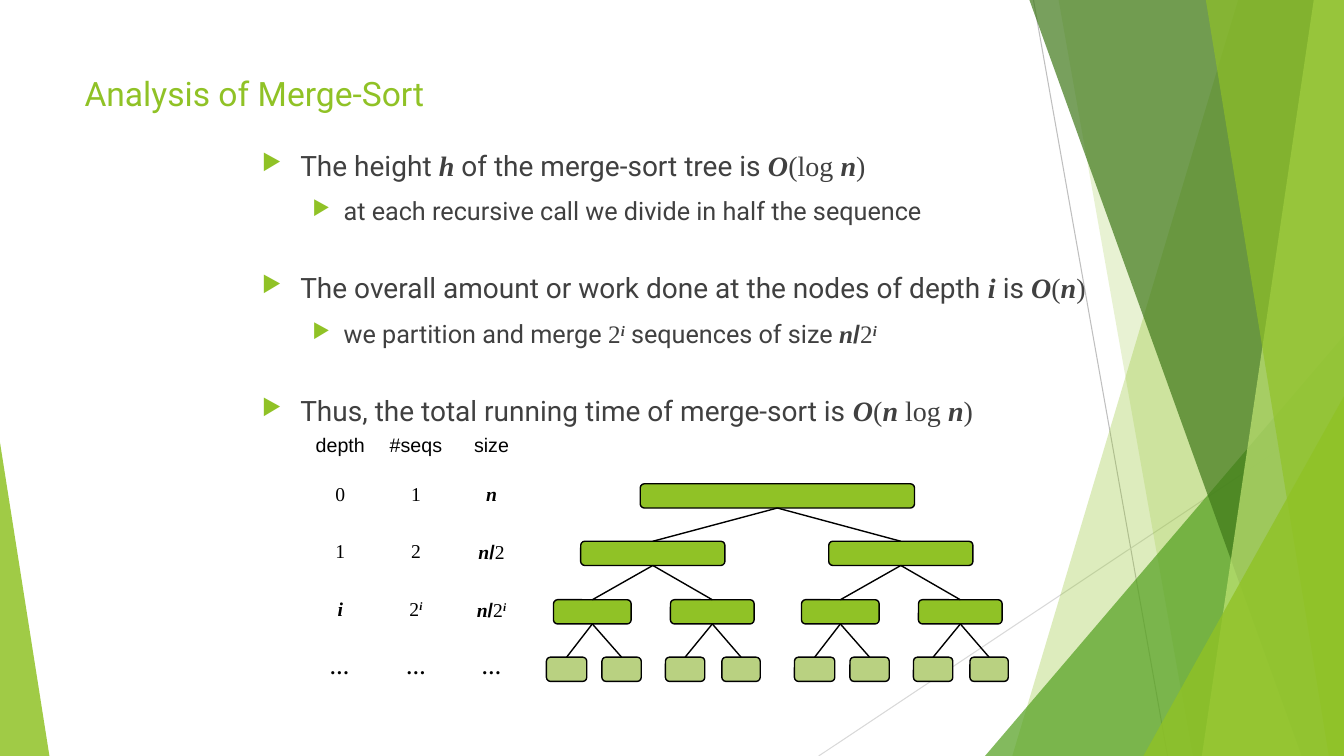
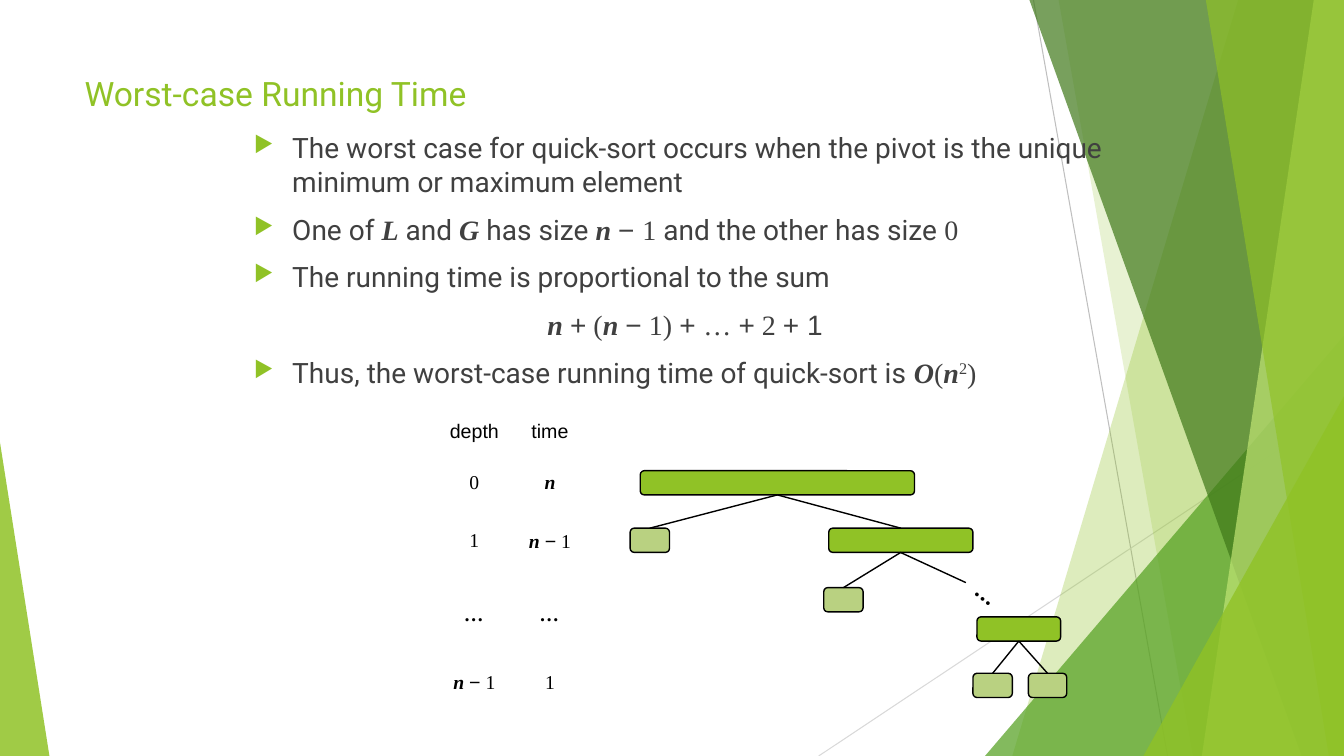
import dataclasses

import lxml.etree
import pptx
import pptx.dml.color
import pptx.enum.shapes
import pptx.enum.text
import pptx.oxml.ns
import pptx.util

PX = 9144  # EMU in one px, 100 px to the inch
WIDE, HIGH = 1333, 750
qn = pptx.oxml.ns.qn
RGB = pptx.dml.color.RGBColor.from_string
SHAPE = pptx.enum.shapes.MSO_SHAPE
STRAIGHT = pptx.enum.shapes.MSO_CONNECTOR.STRAIGHT
ALIGN = pptx.enum.text.PP_ALIGN
ANCHOR = pptx.enum.text.MSO_ANCHOR
PLAIN_GRID = "{2D5ABB26-0587-4C30-8999-92F81FD0307C}"


@dataclasses.dataclass(frozen=True)
class Theme:
    lime: str = "90C226"
    leaf: str = "B9D181"
    grass: str = "54A021"
    moss: str = "3F7819"
    pale: str = "C0E474"
    ink: str = "000000"
    text: str = "404040"
    rule: str = "BFBFBF"
    faint: str = "D9D9D9"
    head: int = 24
    main: int = 20
    sub: int = 18
    cell: int = 14
    thin: float = 0.75
    edge: int = 1


theme = Theme()

# Run styles: s sans, a Arial, b bold Arial, m maths, k bold maths,
# v variable, e raised variable, p raised maths
TIMES = "Times New Roman"
STYLES = {
    "s": {"name": "Roboto", "bold": False, "italic": False},
    "a": {"name": "Arial", "bold": False, "italic": False},
    "b": {"name": "Arial", "bold": True, "italic": False},
    "m": {"name": TIMES, "bold": False, "italic": False},
    "k": {"name": TIMES, "bold": True, "italic": False},
    "v": {"name": TIMES, "bold": True, "italic": True},
    "e": {"name": TIMES, "bold": True, "italic": True},
    "p": {"name": TIMES, "bold": False, "italic": False},
}

# Paragraph kinds: level, margin, indent, size, bullet, alignment
KINDS = {
    "main": (0, 38, -38, theme.main, True, ALIGN.LEFT),
    "sub": (1, 81, -31, theme.sub, True, ALIGN.LEFT),
    "sum": (0, 38, -38, theme.main, False, ALIGN.CENTER),
}

# Backdrop: bands are (top x, foot x), wedges are (left, top, width, height, apex)
RULES = [
    (1025, 0, 1158, 750, theme.rule),
    (1333, 403, 812, 750, theme.faint),
]
PANES = [
    ((1228, 1004), theme.lime, 30),
    ((1050, 1183), theme.lime, 20),
    ((977, 333, 356, 417, 1), theme.grass, 72),
    ((1021, 1291), theme.moss, 70),
    ((1303, 1192), theme.pale, 70),
    ((1196, 1318), theme.lime, 65),
    ((1134, 393, 199, 357, 1), theme.lime, 80),
    ((0, 439, 49, 311, 0), theme.lime, 85),
]

# Merge tree: the right half repeats the left, shifted
ROWS = [480, 537, 595, 652]
HALF = [  # left, row, width, parent within the half
    (576, 1, 143, None), (549, 2, 77, 0), (665, 2, 83, 0),
    (542, 3, 40, 1), (597, 3, 39, 1), (660, 3, 39, 2), (716, 3, 38, 2),
]
merge = [(635, ROWS[0], 272, None)]
for shift in (0, 246):
    base = len(merge)
    merge += [(left + shift, ROWS[row], width, 0 if up is None else base + up)
              for left, row, width, up in HALF]

# Quick tree: left, top, width, parent
quick = [
    (635, 467, 272, None), (625, 524, 39, 0), (822, 524, 143, 0),
    (817, 583, 39, 2), (969, 612, 83, None), (965, 668, 39, 4), (1020, 668, 38, 4),
]

PAGES = [
    {
        "title": "s:Analysis of Merge-Sort",
        "body": (250, 142, 867, 275),
        "lines": [  # kind, space before, runs
            ("main", 0, "s:The height |v:h|s: of the merge-sort tree is |v:O|m:(log |v:n|m:)"),
            ("sub", 10, "s:at each recursive call we divide in half the sequence"),
            ("main", 32, "s:The overall amount or work done at the nodes of depth "
                         "|v:i |s:is |v:O|m:(|v:n|m:)"),
            ("sub", 10, "s:we partition and merge |m:2|e:i|s: sequences of size "
                        "|v:n|b:/|m:2|e:i"),
            ("main", 32, "s:Thus, the total running time of merge-sort is "
                         "|v:O|m:(|v:n|m: log |v:n|m:)"),
        ],
        "grid": (300, 431),
        "rows": [31, 57, 58, 57, 57],
        "cells": [
            ["a:depth", "a:#seqs", "a:size"],
            ["m:0", "m:1", "v:n"],
            ["m:1", "m:2", "v:n|b:/|m:2"],
            ["v:i", "m:2|e:i", "v:n|b:/|m:2|e:i"],
            ["v:…", "k:…", "k:…"],
        ],
        "tree": merge,
    },
    {
        "title": "s:Worst-case Running Time",
        "body": (242, 125, 875, 250),
        "lines": [
            ("main", 0, "s:The worst case for quick-sort occurs when the pivot is "
                        "the unique minimum or maximum element"),
            ("main", 10, "s:One of |v:L|s: and |v:G|s: has size |v:n |a:− |m:1 "
                         "|s:and the other has size |m:0"),
            ("main", 10, "s:The running time is proportional to the sum"),
            ("sum", 10, "v:n |a:+|m: (|v:n |a:−|m: 1) |a:+ |m:… |a:+|m: 2 |a:+ 1"),
            ("main", 10, "s:Thus, the worst-case running time of quick-sort is "
                         "|v:O|m:(|v:n|p:2|m:)"),
        ],
        "grid": (433, 417),
        "rows": [34, 56, 60, 87, 47],
        "cells": [
            ["a:depth", "a:time"],
            ["m:0", "v:n"],
            ["m:1", "v:n |a:−|m: 1"],
            ["v:…", "v:…"],
            ["v:n |a:−|m: 1", "m:1"],
        ],
        "tree": quick,
    },
]


def write(para, text, size, tint):
    """Add the marked runs of text to a paragraph."""
    for part in text.split("|"):
        key, _, words = part.partition(":")
        run = para.add_run()
        run.text = words
        for name, value in STYLES[key].items():
            setattr(run.font, name, value)
        run.font.size = pptx.util.Pt(size)
        run.font.color.rgb = RGB(tint)
        if key in "ep":
            run.font._element.set("baseline", "30000")


def draw(shapes, ends, tint, weight):
    """Add a straight line without a shadow."""
    line = shapes.add_connector(STRAIGHT, *[round(v * PX) for v in ends])
    line.line.color.rgb = RGB(tint)
    line.line.width = pptx.util.Pt(weight)
    lxml.etree.SubElement(line._element.spPr, qn("a:effectLst"))
    return line


deck = pptx.Presentation()
deck.slide_width, deck.slide_height = WIDE * PX, HIGH * PX

for page in PAGES:
    shapes = deck.slides.add_slide(deck.slide_layouts[6]).shapes

    # Backdrop
    for *ends, tint in RULES:
        draw(shapes, ends, tint, theme.thin)
    for form, tint, alpha in PANES:
        if len(form) == 2:
            top, foot = form
            pen = shapes.build_freeform(top, 0, PX)
            pen.add_line_segments([(WIDE, 0), (WIDE, HIGH), (foot, HIGH)])
            pane = pen.convert_to_shape()
        else:
            *box, apex = form
            pane = shapes.add_shape(SHAPE.ISOSCELES_TRIANGLE, *[v * PX for v in box])
            pane.adjustments[0] = apex
        pane.shadow.inherit = False
        pane.fill.solid()
        pane.fill.fore_color.rgb = RGB(tint)
        clear = pane._element.spPr.find(".//" + qn("a:srgbClr"))
        lxml.etree.SubElement(clear, qn("a:alpha"), val=str(alpha * 1000))
        pane.line.fill.background()

    # Title
    frame = shapes.add_textbox(74 * PX, 67 * PX, 940 * PX, 144 * PX).text_frame
    frame.word_wrap = True
    write(frame.paragraphs[0], page["title"], theme.head, theme.lime)

    # Body
    frame = shapes.add_textbox(*[v * PX for v in page["body"]]).text_frame
    frame.word_wrap = True
    for place, (kind, gap, text) in enumerate(page["lines"]):
        level, left, hang, size, mark, align = KINDS[kind]
        para = frame.add_paragraph() if place else frame.paragraphs[0]
        props = para._p.get_or_add_pPr()
        props.set("marL", str(left * PX))
        props.set("indent", str(hang * PX))
        if mark:
            tone = lxml.etree.SubElement(props, qn("a:buClr"))
            lxml.etree.SubElement(tone, qn("a:srgbClr"), val=theme.lime)
            lxml.etree.SubElement(props, qn("a:buSzPct"), val="80000")
            lxml.etree.SubElement(props, qn("a:buChar"), char="▶")
        para.level = level
        para.alignment = align
        if gap:
            para.space_before = pptx.util.Pt(gap)
        write(para, text, size, theme.text)

    # Tree: nodes without children are pale
    nodes = page["tree"]
    forks = {node[3] for node in nodes}
    boxes = []
    for place, (left, top, width, up) in enumerate(nodes):
        box = shapes.add_shape(SHAPE.ROUNDED_RECTANGLE,
                               left * PX, top * PX, width * PX, 24 * PX)
        box.shadow.inherit = False
        box.fill.solid()
        box.fill.fore_color.rgb = RGB(theme.lime if place in forks else theme.leaf)
        box.line.color.rgb = RGB(theme.ink)
        box.line.width = pptx.util.Pt(theme.edge)
        boxes.append(box)
        if up is not None:
            high = nodes[up]
            ends = (high[0] + high[2] / 2, high[1] + 24, left + width / 2, top)
            edge = draw(shapes, ends, theme.ink, theme.edge)
            edge.begin_connect(boxes[up], 2)
            edge.end_connect(box, 0)

    # Table
    cells = page["cells"]
    count = len(cells[0])
    left, top = page["grid"]
    holder = shapes.add_table(len(cells), count, left * PX, top * PX,
                              75 * count * PX, sum(page["rows"]) * PX)
    grid = holder.table
    grid._tbl.tblPr.find(qn("a:tableStyleId")).text = PLAIN_GRID
    grid.first_row = grid.horz_banding = False
    for col in grid.columns:
        col.width = 75 * PX
    for down, texts in enumerate(cells):
        grid.rows[down].height = page["rows"][down] * PX
        for across, text in enumerate(texts):
            cell = grid.cell(down, across)
            cell.fill.background()
            for side in ("left", "top", "right", "bottom"):
                setattr(cell, "margin_" + side, 0)
            cell.vertical_anchor = ANCHOR.MIDDLE if down else ANCHOR.TOP
            para = cell.text_frame.paragraphs[0]
            para.alignment = ALIGN.CENTER
            write(para, text, theme.cell, theme.ink)

# Break in the quick tree
draw(shapes, (893, 548, 958, 578), theme.ink, theme.edge)
dots = shapes.add_textbox(960 * PX, 562 * PX, 47 * PX, 50 * PX)
dots.rotation = 38.4
dots.text_frame.word_wrap = False
write(dots.text_frame.paragraphs[0], "s:…", theme.head, theme.ink)

deck.save("out.pptx")
